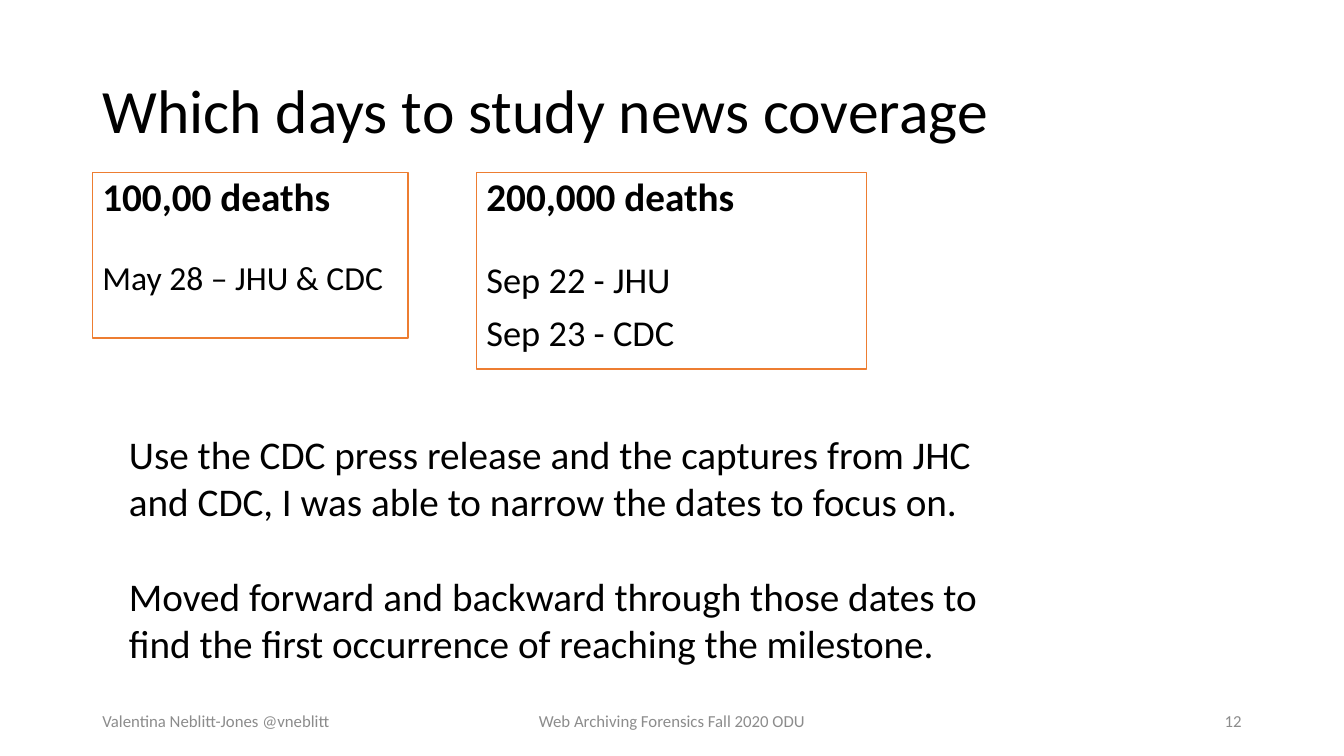
"""Build the slide on which days to study news coverage."""
import pptx
import pptx.dml.color
import pptx.enum.shapes
import pptx.enum.text
import pptx.util
from pptx.util import Cm, Pt

BLACK = pptx.dml.color.RGBColor(0x00, 0x00, 0x00)
WHITE = pptx.dml.color.RGBColor(0xFF, 0xFF, 0xFF)
ORANGE = pptx.dml.color.RGBColor(0xED, 0x7D, 0x31)
GRAY = pptx.dml.color.RGBColor(0x8C, 0x8C, 0x8C)
ALIGN = pptx.enum.text.PP_ALIGN
ANCHOR = pptx.enum.text.MSO_ANCHOR
LEFT_MARGIN = Cm(2.33)


def write_text(shape, lines, color=BLACK, align=ALIGN.LEFT, anchor=ANCHOR.TOP, line_spacing=1.0):
    """Fill a shape with lines of (text, size, bold, space before)."""
    text_frame = shape.text_frame
    text_frame.text = "\n".join(line[0] for line in lines)
    text_frame.word_wrap = True
    text_frame.auto_size = pptx.enum.text.MSO_AUTO_SIZE.NONE
    text_frame.vertical_anchor = anchor
    for paragraph, (text, size, bold, space_before) in zip(text_frame.paragraphs, lines):
        paragraph.alignment = align
        paragraph.line_spacing = line_spacing
        paragraph.space_before = Pt(space_before)
        for run in paragraph.runs:
            run.font.name = "Calibri"
            run.font.size = Pt(size)
            run.font.bold = bold
            run.font.color.rgb = color


presentation = pptx.Presentation()
presentation.slide_width = Cm(33.87)
presentation.slide_height = Cm(19.05)
slide = presentation.slides.add_slide(presentation.slide_layouts[5])

title = slide.shapes.title
title.left, title.top, title.width, title.height = LEFT_MARGIN, Cm(1.01), Cm(29.21), Cm(3.68)
write_text(title, [("Which days to study news coverage", 44, False, 0)],
           anchor=ANCHOR.MIDDLE, line_spacing=0.9)

milestones = [
    (LEFT_MARGIN, Cm(7.95), Cm(4.17),
     [("100,00 deaths", 28, True, 0), ("May 28 – JHU & CDC", 24, False, 30)]),
    (Cm(12.01), Cm(9.83), Cm(4.95),
     [("200,000 deaths", 28, True, 0), ("Sep 22 - JHU", 26, False, 30),
      ("Sep 23 - CDC", 26, False, 10)]),
]
for left, width, height, lines in milestones:
    box = slide.shapes.add_shape(
        pptx.enum.shapes.MSO_SHAPE.RECTANGLE, left, Cm(4.35), width, height)
    box.shadow.inherit = False
    box.fill.solid()
    box.fill.fore_color.rgb = WHITE
    box.line.color.rgb = ORANGE
    box.line.width = Pt(1)
    write_text(box, lines, line_spacing=0.9)

footers = [
    ("Valentina Neblitt-Jones @vneblitt", LEFT_MARGIN, Cm(7.62), ALIGN.LEFT),
    ("Web Archiving Forensics Fall 2020 ODU", Cm(11.22), Cm(11.43), ALIGN.CENTER),
    ("12", Cm(23.92), Cm(7.62), ALIGN.RIGHT),
]
for text, left, width, align in footers:
    footer = slide.shapes.add_textbox(left, Cm(17.66), width, Cm(1.01))
    write_text(footer, [(text, 12, False, 0)], GRAY, align, ANCHOR.MIDDLE)

method = slide.shapes.add_textbox(Cm(3), Cm(10.72), Cm(23.27), Cm(6.25))
write_text(method, [
    ("Use the CDC press release and the captures from JHC and CDC, "
     "I was able to narrow the dates to focus on.", 28, False, 0),
    ("Moved forward and backward through those dates to find the first "
     "occurrence of reaching the milestone.", 28, False, 34),
])

presentation.save("out.pptx")
